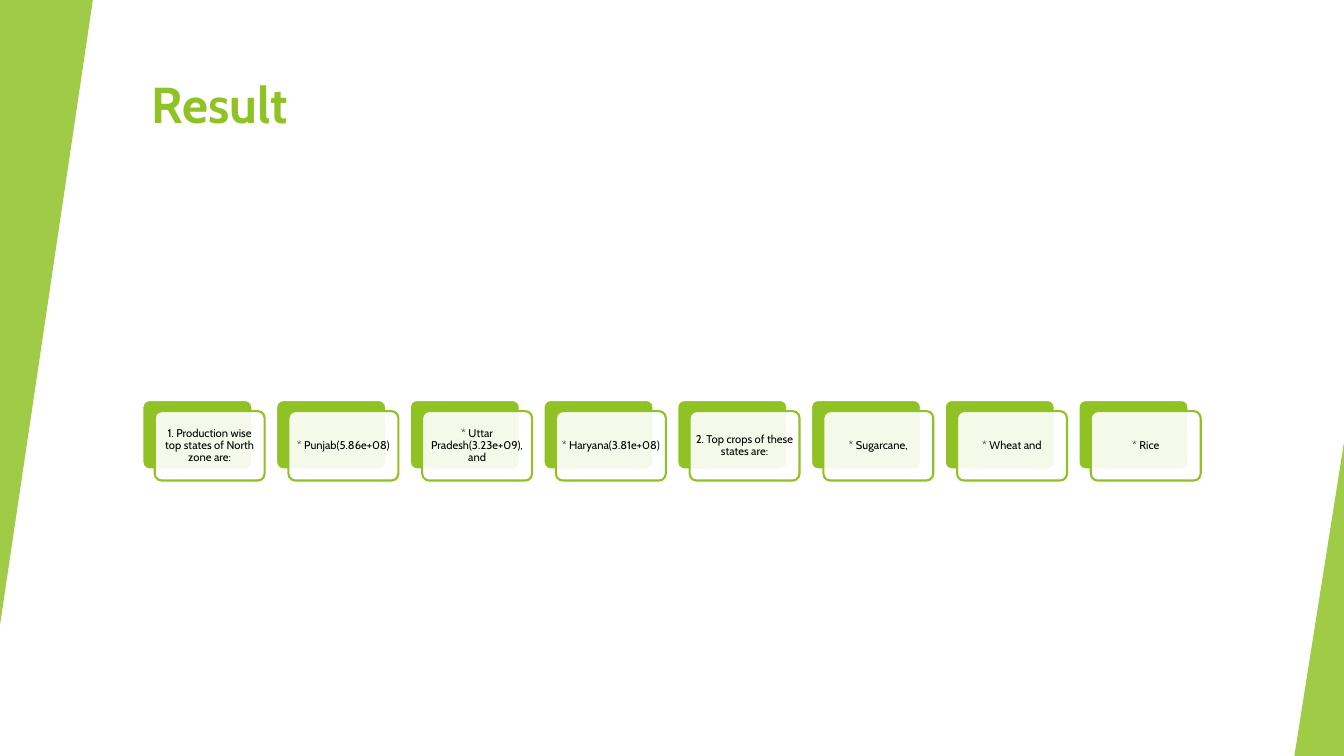
from dataclasses import dataclass

from lxml import etree
from pptx import Presentation
from pptx.dml.color import RGBColor
from pptx.enum.shapes import MSO_SHAPE
from pptx.enum.text import MSO_ANCHOR, MSO_AUTO_SIZE, PP_ALIGN
from pptx.oxml.ns import qn
from pptx.util import Cm, Pt

TRIANGLE = MSO_SHAPE.ISOSCELES_TRIANGLE
ROUNDED = MSO_SHAPE.ROUNDED_RECTANGLE
LEFT, CENTER = PP_ALIGN.LEFT, PP_ALIGN.CENTER
TOP, MIDDLE = MSO_ANCHOR.TOP, MSO_ANCHOR.MIDDLE

GREEN, WHITE, BLACK = "90C226", "FFFFFF", "000000"
FONT = "Cabin"

# Card row, in centimetres
ROW_LEFT, ROW_TOP, CARD_PITCH = 3.59, 10.08, 3.37
CARD_WIDTH, CARD_HEIGHT = 2.77, 1.75
FRONT_SHIFT_X, FRONT_SHIFT_Y = 0.31, 0.28

FINDINGS = [
    "1. Production wise top states of North zone are:",
    "* Punjab(5.86e+08)",
    "* Uttar Pradesh(3.23e+09), and",
    "* Haryana(3.81e+08)",
    "2. Top crops of these states are:",
    "* Sugarcane,",
    "* Wheat and",
    "* Rice",
]


@dataclass
class Area:
    """A rectangle in centimetres."""
    left: float
    top: float
    width: float
    height: float

    def lengths(self):
        return Cm(self.left), Cm(self.top), Cm(self.width), Cm(self.height)


@dataclass
class Wedge:
    area: Area
    rotation: float


WEDGES = [
    Wedge(Area(0, 0, 2.34, 15.75), 180),
    Wedge(Area(32.62, 11.15, 1.25, 7.9), 0),
]


def color(value: str) -> RGBColor:
    return RGBColor.from_string(value)


def draw_shape(page, kind, area: Area, fill: str, adjust: float,
               opacity: int = 100, line: str = ""):
    box = page.shapes.add_shape(kind, *area.lengths())
    box.shadow.inherit = False
    box.adjustments[0] = adjust
    box.fill.solid()
    box.fill.fore_color.rgb = color(fill)
    if opacity < 100:
        tint = box.fill._xPr.find(qn("a:solidFill"))[0]
        etree.SubElement(tint, qn("a:alpha"), val=str(opacity * 1000))
    if line:
        box.line.color.rgb = color(line)
        box.line.width = Pt(1.5)
    else:
        box.line.fill.background()
    return box


def write_text(box, text: str, *, size: float, ink: str, bold: bool = False,
               align=LEFT, anchor=TOP, inset_x: float = 0.25,
               inset_y: float = 0.13, spacing: float = 1.0) -> None:
    frame = box.text_frame
    frame.word_wrap = True
    frame.auto_size = MSO_AUTO_SIZE.NONE
    frame.vertical_anchor = anchor
    frame.margin_left = frame.margin_right = Cm(inset_x)
    frame.margin_top = frame.margin_bottom = Cm(inset_y)
    para = frame.paragraphs[0]
    para.alignment = align
    para.line_spacing = spacing
    span = para.add_run()
    span.text = text
    span.font.name = FONT
    span.font.size = Pt(size)
    span.font.bold = bold
    span.font.color.rgb = color(ink)


def draw_card(page, left: float, text: str) -> None:
    back = Area(left, ROW_TOP, CARD_WIDTH, CARD_HEIGHT)
    front = Area(left + FRONT_SHIFT_X, ROW_TOP + FRONT_SHIFT_Y,
                 CARD_WIDTH, CARD_HEIGHT)
    draw_shape(page, ROUNDED, back, GREEN, 0.1, line=WHITE)
    box = draw_shape(page, ROUNDED, front, WHITE, 0.1, opacity=90, line=GREEN)
    write_text(box, text, size=8, ink=BLACK, align=CENTER, anchor=MIDDLE,
               inset_x=0.08, inset_y=0.08, spacing=0.9)


def main() -> None:
    deck = Presentation()
    deck.slide_width, deck.slide_height = Cm(33.87), Cm(19.05)
    page = deck.slides.add_slide(deck.slide_layouts[5])

    # Title
    title = page.shapes.title
    title.left, title.top, title.width, title.height = Area(
        3.58, 1.7, 28.32, 3.05).lengths()
    write_text(title, "Result", size=36, ink=GREEN, bold=True)

    # Green wedges at the page edges
    for wedge in WEDGES:
        box = draw_shape(page, TRIANGLE, wedge.area, GREEN, 1, opacity=85)
        box.rotation = wedge.rotation

    # Row of findings
    for index, finding in enumerate(FINDINGS):
        draw_card(page, ROW_LEFT + index * CARD_PITCH, finding)

    deck.save("out.pptx")


if __name__ == "__main__":
    main()
